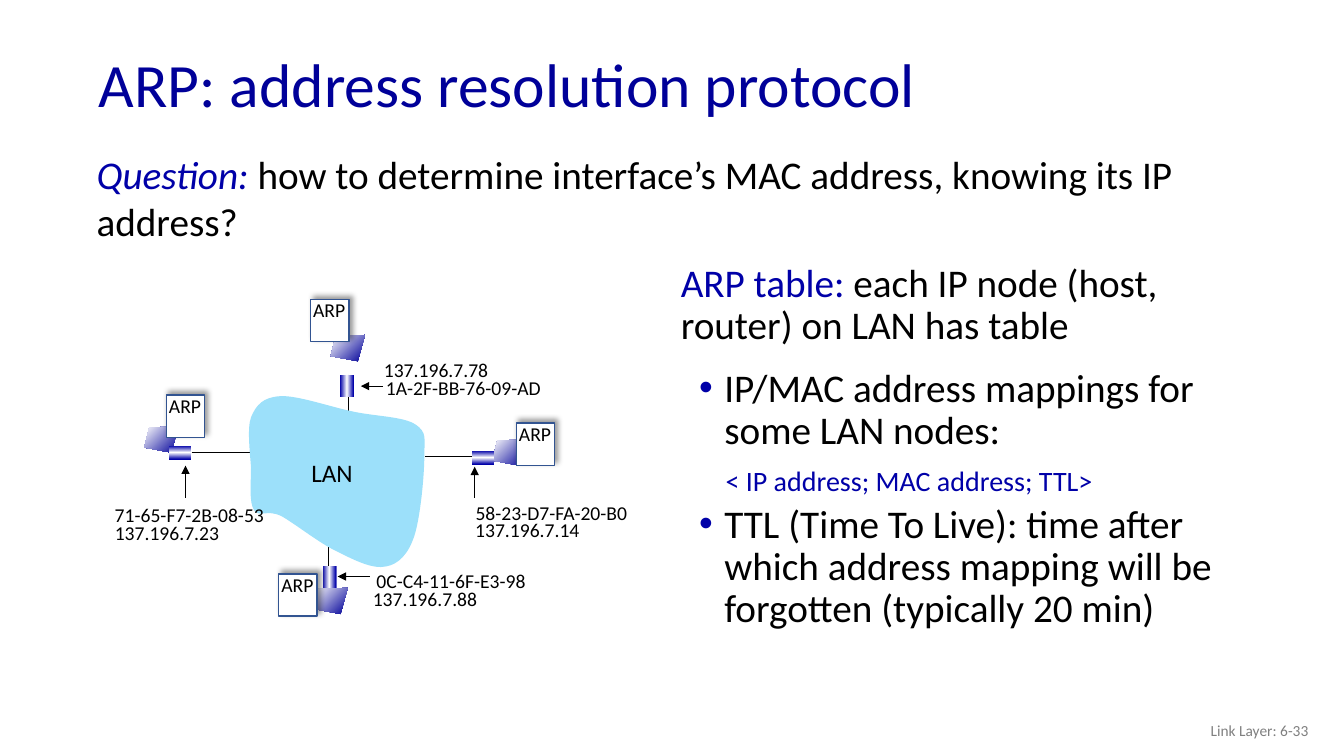
from lxml import etree
from pptx import Presentation
from pptx.dml import color
from pptx.enum import shapes, text
from pptx.oxml import ns
from pptx.util import Pt

HUES = {
    "title": "000099", "accent": "0000A8", "ink": "000000", "foot": "808080",
    "cloud": "9CE0FA", "paper": "FFFFFF", "edge": "325491",
}
FONT = "Calibri"
CABLES = [
    (136.8, 323.3, 193.7, 323.3), (249.1, 267.8, 249.1, 307.4),
    (234.9, 411.8, 234.9, 385.9), (353.5, 326.4, 303.8, 326.4),
]
ARROWS = [
    (339.1, 355.7, 339.1, 333.4), (264.2, 411.8, 241.2, 411.8),
    (132.5, 355.7, 132.5, 332.6), (273.6, 275.8, 257.8, 275.8),
]
HOSTS = [
    ((221.8, 213.8), (236.2, 239.3), (243, 267.8), 0),
    ((199.1, 409.9), (223.9, 419.9), (230.4, 404.2), 0),
    ((118.8, 282.2), (103, 304.6), (124, 315.4), 90),
    ((368.8, 302.2), (351.7, 313.9), (340.2, 319), 90),
]
LABELS = [
    ("137.196.7.78", 267.1, 252, 90), ("1A-2F-BB-76-09-AD", 268.6, 265, 126),
    ("58-23-D7-FA-20-B0", 332.6, 354.2, 123.8), ("137.196.7.14", 332.3, 366.5, 90),
    ("0C-C4-11-6F-E3-98", 261.8, 402.5, 122.4), ("137.196.7.88", 259.2, 415.4, 90),
    ("71-65-F7-2B-08-53", 74.9, 355.7, 122.4), ("137.196.7.23", 74.9, 368.6, 90),
]
FRAME = (176.4, 282.2, 305.3, 406.1)
START = (200.2, 283)
CURVES = [
    (187.9, 283.7, 182.9, 289.4, 179.3, 298.1), (176.4, 306, 178.6, 323.3, 179.3, 334.1),
    (179.3, 344.9, 177.8, 358.6, 181.4, 364.3), (185, 370.1, 190.8, 363.6, 200.9, 368.6),
    (210.2, 373.7, 228.2, 388.1, 240.5, 393.8), (253.4, 400.3, 266.4, 406.8, 275.8, 404.6),
    (284.4, 403.2, 291.6, 396, 295.9, 383), (300.2, 370.1, 303.1, 339.8, 303.1, 326.2),
    (303.1, 313.2, 305.3, 308.9, 296.6, 303.1), (288, 297.4, 267.1, 297.4, 251.3, 293.8),
    (234.7, 290.2, 211.7, 282.2, 200.2, 283),
]
LAPTOP = [(24.5, 0), (3.6, 0.7), (0, 15.1), (19.4, 18.7)]


def rgb(hue):
    return color.RGBColor.from_string(HUES[hue])


def put(item, **vals):
    for name, val in vals.items():
        setattr(item, name, val)


def node(owner, tag, **vals):
    return etree.SubElement(owner, ns.qn(tag), {k: str(v) for k, v in vals.items()})


def write(para, runs, size, **form):
    put(para, **form)
    for words, hue, slant in runs:
        run = para.add_run()
        run.text = words
        put(run.font, name=FONT, size=Pt(size), italic=slant)
        run.font.color.rgb = rgb(hue)


def box(slide, area, runs=(), size=14, wrap=True, anchor=text.MSO_ANCHOR.TOP, **form):
    frame = slide.shapes.add_textbox(*map(Pt, area)).text_frame
    put(frame, word_wrap=wrap, vertical_anchor=anchor)
    write(frame.paragraphs[0], runs, size, **form)
    return frame


def wire(slide, ends, arrow=False):
    line = slide.shapes.add_connector(shapes.MSO_CONNECTOR.STRAIGHT, *map(Pt, ends))
    line.line.color.rgb = rgb("ink")
    line.line.width = Pt(0.75)
    if arrow:
        node(line.line._get_or_add_ln(), "a:tailEnd", type="triangle")
    node(line._element.spPr, "a:effectLst")


def outline(slide, points):
    spots = [(Pt(x), Pt(y)) for x, y in points]
    build = slide.shapes.build_freeform(*spots[0], scale=1.0)
    build.add_line_segments(spots[1:], close=True)
    form = build.convert_to_shape()
    form.shadow.inherit = False
    form.line.fill.background()
    return form


def fill(form, hue):
    form.fill.solid()
    form.fill.fore_color.rgb = rgb(hue)


def shade(form, stops, angle):
    form.fill.gradient()
    form.fill.gradient_angle = angle
    group = form._element.spPr.find(".//" + ns.qn("a:gsLst"))
    for stop in list(group):
        group.remove(stop)
    for pos, hue in stops:
        node(node(group, "a:gs", pos=pos * 1000), "a:srgbClr", val=HUES[hue])


def rect(slide, *area):
    form = slide.shapes.add_shape(shapes.MSO_SHAPE.RECTANGLE, *map(Pt, area))
    form.shadow.inherit = False
    return form


def cloud(slide):
    left, top, right, base = FRAME
    form = outline(slide, [(left, top), (right, top), (right, base), (left, base)])
    fill(form, "cloud")
    track = form._element.spPr.find(".//" + ns.qn("a:pathLst"))[0]
    for part in list(track):
        track.remove(part)
    steps = [("a:moveTo", START)] + [("a:cubicBezTo", curve) for curve in CURVES]
    for tag, spots in steps:
        part = node(track, tag)
        for x, y in zip(spots[::2], spots[1::2]):
            node(part, "a:pt", x=Pt(x - left), y=Pt(y - top))
    node(track, "a:close")


def host(slide, card, laptop, port, turn):
    x, y = laptop
    body = outline(slide, [(x + dx, y + dy) for dx, dy in LAPTOP])
    shade(body, [(0, "title"), (100, "paper")], 135)
    plug = rect(slide, *port, 9.7, 15.8)
    plug.rotation = turn
    plug.line.fill.background()
    shade(plug, [(0, "accent"), (50, "paper"), (99, "accent")], 0)
    x, y = card
    sheet = rect(slide, x, y, 27.4, 30.2)
    fill(sheet, "paper")
    sheet.line.color.rgb = rgb("edge")
    sheet.line.width = Pt(1)
    glow = node(sheet._element.spPr.find(ns.qn("a:effectLst")), "a:outerShdw",
                blurRad=Pt(4), dist=Pt(3), dir=315 * 60000, algn="bl", rotWithShape=0)
    node(node(glow, "a:srgbClr", val=HUES["ink"]), "a:alpha", val=40000)
    box(slide, (x - 5.2, y - 4.3, 37.4, 24.5), [("ARP", "ink", False)], wrap=False)


def indent(para, left, hang=0, mark=None):
    props = para._p.get_or_add_pPr()
    props.set("marL", str(Pt(left)))
    props.set("indent", str(Pt(-hang)))
    if mark:
        node(node(props, "a:buClr"), "a:srgbClr", val=HUES["accent"])
        node(props, "a:buFont", typeface="Arial")
        node(props, "a:buChar", char=mark)
    else:
        node(props, "a:buNone")


def notes(slide):
    frame = box(slide, (455.8, 259.6, 430.6, 229))
    items = [
        ("IP/MAC address mappings for some LAN nodes:", "ink", 28, 0, 54.5, 18, "•"),
        ("< IP address; MAC address; TTL>", "accent", 20, 10, 55.4, 0, None),
        ("TTL (Time To Live): time after which address mapping will be forgotten "
         "(typically 20 min)", "ink", 28, 5, 54.5, 18, "•"),
    ]
    for rank, (words, hue, size, gap, left, hang, mark) in enumerate(items):
        para = frame.add_paragraph() if rank else frame.paragraphs[0]
        indent(para, left, hang, mark)
        write(para, [(words, hue, False)], size, line_spacing=0.9, space_before=Pt(gap))


def main():
    deck = Presentation()
    put(deck, slide_width=Pt(960), slide_height=Pt(540))
    slide = deck.slides.add_slide(deck.slide_layouts[6])
    mid = text.MSO_ANCHOR.MIDDLE
    box(slide, (63.4, 27.4, 828, 70.6), [("ARP: address resolution protocol", "title", False)],
        44, anchor=mid, line_spacing=0.9)
    box(slide, (725.8, 507.6, 216, 28.8), [("Link Layer: 6-33", "foot", False)],
        11, anchor=mid, alignment=text.PP_ALIGN.RIGHT)
    box(slide, (479.2, 184.6, 409, 74.9), [
        ("ARP table: ", "accent", False),
        ("each IP node (host, router) on LAN has table", "ink", False)], 28, line_spacing=0.9)
    box(slide, (61.9, 103.7, 869, 74.9), [
        ("Question: ", "accent", True),
        ("how to determine interface’s MAC address, knowing its IP address?", "ink", False)], 28)
    for ends in CABLES:
        wire(slide, ends)
    cloud(slide)
    box(slide, (168.8, 323.3, 136.8, 28.8), [("LAN", "ink", False)], 18,
        alignment=text.PP_ALIGN.CENTER)
    for parts in HOSTS:
        host(slide, *parts)
    for ends in ARROWS:
        wire(slide, ends, True)
    for words, x, y, wide in LABELS:
        box(slide, (x, y, wide, 24.5), [(words, "ink", False)], wrap=False)
    notes(slide)
    deck.save("out.pptx")


if __name__ == "__main__":
    main()
